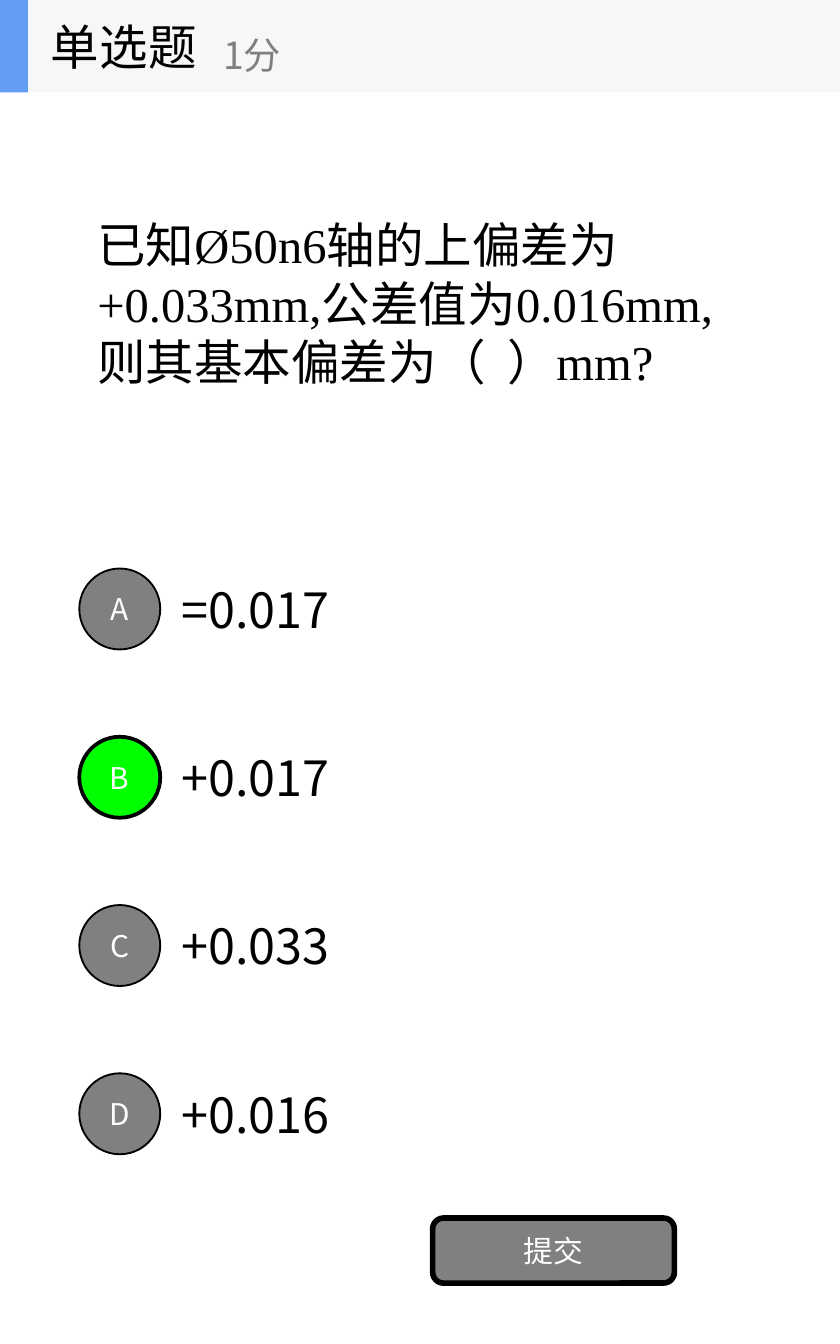
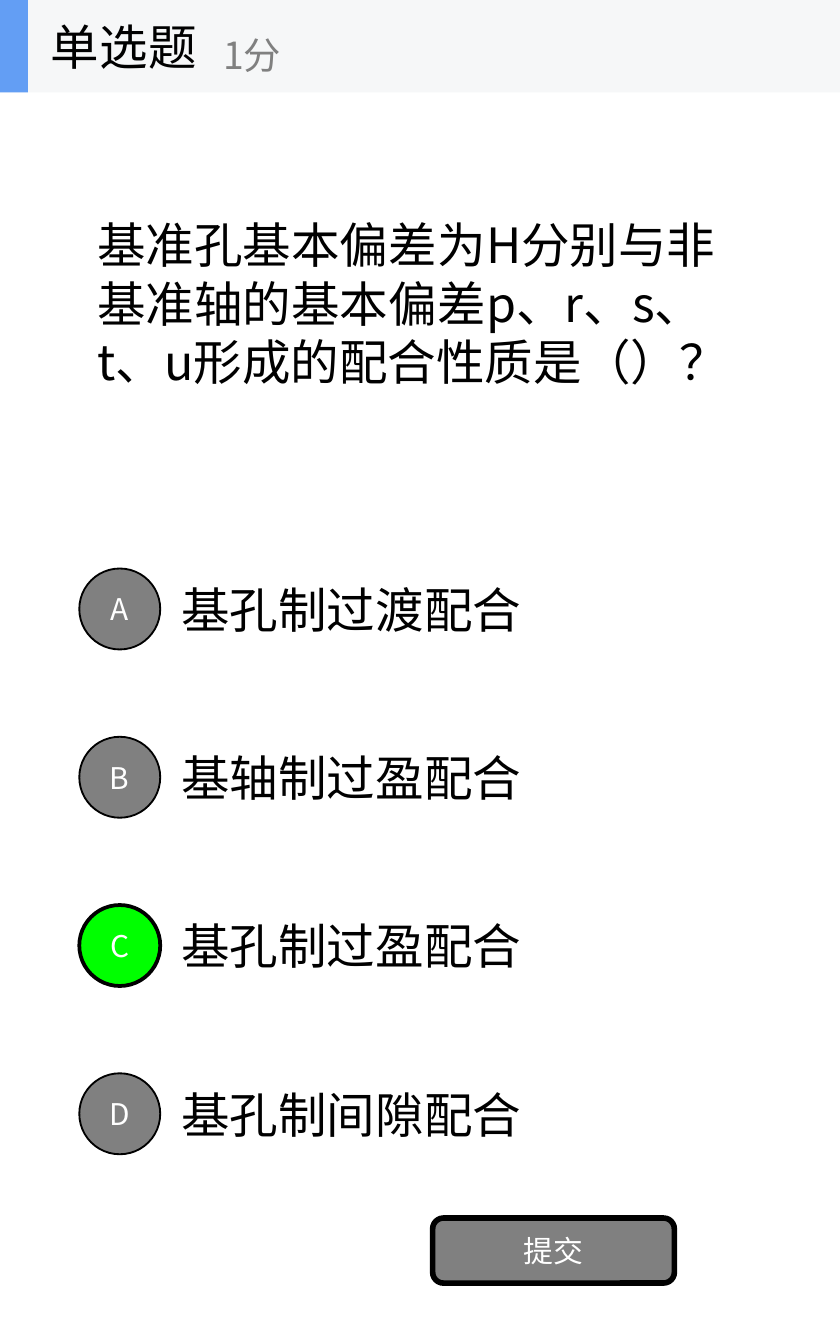
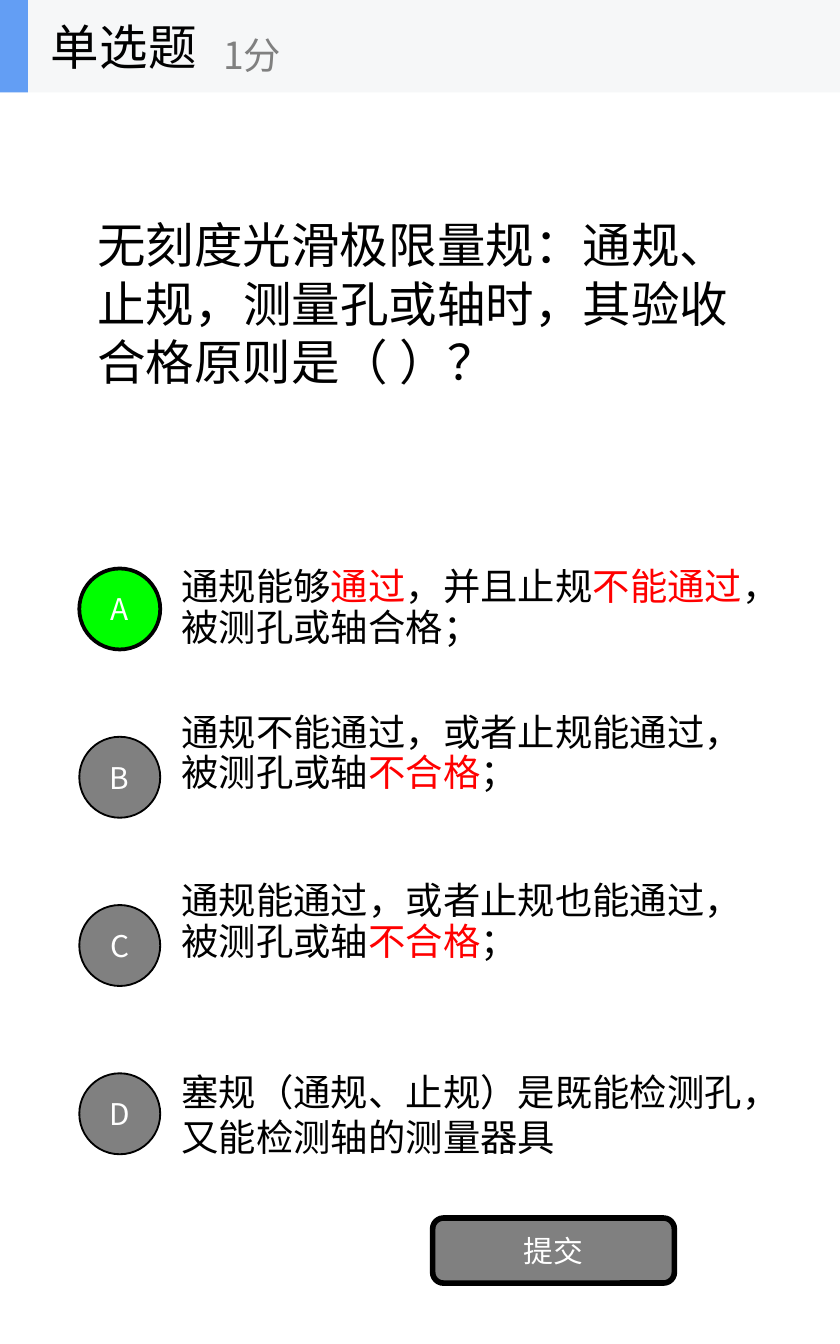
"""Build three single-choice quiz pages that share one header, answer grid and button."""
from lxml import etree
from pptx import Presentation
from pptx.dml.color import RGBColor
from pptx.enum import shapes, text
from pptx.oxml import ns
from pptx.util import Cm, Pt

SANS, SERIF, ARIAL = "Noto Sans CJK SC", "Times New Roman", "Arial"
COLOURS = {
    "ink": "000000", "paper": "FFFFFF", "muted": "808080", "key": "FF0000",
    "correct": "00FF00", "band": "F6F7F8", "accent": "639EF4",
}
HEADING, SCORE, SUBMIT = "单选题", "1分", "提交"

QUESTIONS = [
    {
        "prompt": [
            [("已知", SANS), ("Ø50n6轴的上偏差为+0.033mm,公差值为0.016mm,", SERIF)],
            [("则其基本偏差为（  ）mm?", SERIF)],
        ],
        "answer": "B",
        "choices": [
            {"runs": [("=0.017", SANS)]},
            {"runs": [("+0.017", SANS)]},
            {"runs": [("+0.033", SANS)]},
            {"runs": [("+0.016", SANS)]},
        ],
    },
    {
        "prompt": [
            [("基准孔基本偏差为H分别与非基准轴的基本偏差p、r、s、t、u形成的配合性质是（）？", SANS)],
        ],
        "answer": "C",
        "choices": [
            {"runs": [("基孔制过渡配合", SANS)]},
            {"runs": [("基轴制过盈配合", SANS)]},
            {"runs": [("基孔制过盈配合", SANS)]},
            {"runs": [("基孔制间隙配合", SANS)]},
        ],
    },
    {
        "prompt": [
            [("无刻度光滑极限量规：通规、止规，", SANS),
             ("测量孔或轴时，其验收合格原则是（ ）？", ARIAL)],
        ],
        "answer": "A",
        "choices": [
            {"runs": [("通规能够", ARIAL), ("通过", ARIAL, "key"), ("，并且止规", ARIAL),
                      ("不能通过", ARIAL, "key"), ("，被测孔或轴合格；", ARIAL)],
             "size": 20, "spacing": 0.9},
            {"runs": [("通规不能通过，或者止规能通过，被测孔或轴", ARIAL),
                      ("不合格", ARIAL, "key"), ("；", ARIAL)],
             "size": 20, "spacing": 0.9, "top": True},
            {"runs": [("通规能通过，或者止规也能通过，被测孔或轴", ARIAL),
                      ("不合格", ARIAL, "key"), ("；", ARIAL)],
             "size": 20, "spacing": 0.9, "top": True},
            {"runs": [("塞规（通规、止规）是既能检测孔，又能检测轴的测量器具", SANS)], "size": 20},
        ],
    },
]

PAGE_WIDTH, PAGE_HEIGHT = 15.88, 25.4
BAND_HEIGHT = 1.75
CHOICE_TOP, CHOICE_PITCH, CHOICE_HEIGHT = 10.32, 3.18, 2.38
BADGE = 1.53


def rgb(name):
    return RGBColor.from_string(COLOURS[name])


def write(shape, paragraphs, size, align=text.PP_ALIGN.LEFT, spacing=None, top=False):
    frame = shape.text_frame
    frame.auto_size = text.MSO_AUTO_SIZE.NONE
    frame.word_wrap = True
    frame.vertical_anchor = text.MSO_ANCHOR.TOP if top else text.MSO_ANCHOR.MIDDLE
    if top:
        frame.margin_top = 0
    for number, runs in enumerate(paragraphs):
        para = frame.add_paragraph() if number else frame.paragraphs[0]
        para.alignment = align
        if spacing:
            para.line_spacing = spacing
        for words, face, *colour in runs:
            span = para.add_run()
            span.text = words
            span.font.name, span.font.size = face, Pt(size)
            span.font.color.rgb = rgb(colour[0] if colour else "ink")
    for props in shape.element.iter(ns.qn("a:rPr")):
        etree.SubElement(props, ns.qn("a:ea")).set("typeface", SANS)


def add_text(page, area, paragraphs, size, **style):
    box = page.shapes.add_textbox(*map(Cm, area))
    write(box, paragraphs, size, **style)


def add_block(page, kind, area, fill, label=None, line=None):
    block = page.shapes.add_shape(kind, *map(Cm, area))
    block.shadow.inherit = False
    block.fill.solid()
    block.fill.fore_color.rgb = rgb(fill)
    if line:
        block.line.color.rgb = rgb("ink")
        block.line.width = Pt(line)
    else:
        block.line.fill.background()
    if label:
        write(block, [[(label, SANS, "paper")]], 16, align=text.PP_ALIGN.CENTER)


def add_header(page):
    for width, fill in ((PAGE_WIDTH, "band"), (0.53, "accent")):
        add_block(page, shapes.MSO_SHAPE.RECTANGLE, (0, 0, width, BAND_HEIGHT), fill)
    title = page.shapes.title
    title.left, title.top, title.width, title.height = map(Cm, (0.71, 0, 5.28, BAND_HEIGHT))
    write(title, [[(HEADING, SANS)]], 26)
    title.element.getparent().append(title.element)
    add_text(page, (3.97, 0.31, 6.35, 1.43), [[(SCORE, SANS, "muted")]], 20)


def add_choices(page, choices, answer):
    for row, (letter, choice) in enumerate(zip("ABCD", choices)):
        top = CHOICE_TOP + row * CHOICE_PITCH
        add_text(page, (3.18, top, 11.12, CHOICE_HEIGHT), [choice["runs"]],
                 choice.get("size", 26), spacing=choice.get("spacing"),
                 top=choice.get("top", False))
        badge_top = top + (CHOICE_HEIGHT - BADGE) / 2
        fill, line = ("correct", 2) if letter == answer else ("muted", 1)
        add_block(page, shapes.MSO_SHAPE.OVAL, (1.5, badge_top, BADGE, BADGE),
                  fill, letter, line)


def main():
    deck = Presentation()
    deck.slide_width, deck.slide_height = Cm(PAGE_WIDTH), Cm(PAGE_HEIGHT)
    for question in QUESTIONS:
        page = deck.slides.add_slide(deck.slide_layouts[5])
        add_text(page, (1.59, BAND_HEIGHT, 12.7, 7.94), question["prompt"], 26)
        add_choices(page, question["choices"], question["answer"])
        add_block(page, shapes.MSO_SHAPE.ROUNDED_RECTANGLE, (8.18, 23.02, 4.57, 1.23),
                  "muted", SUBMIT, 3)
        add_header(page)
    deck.save("out.pptx")


if __name__ == "__main__":
    main()
